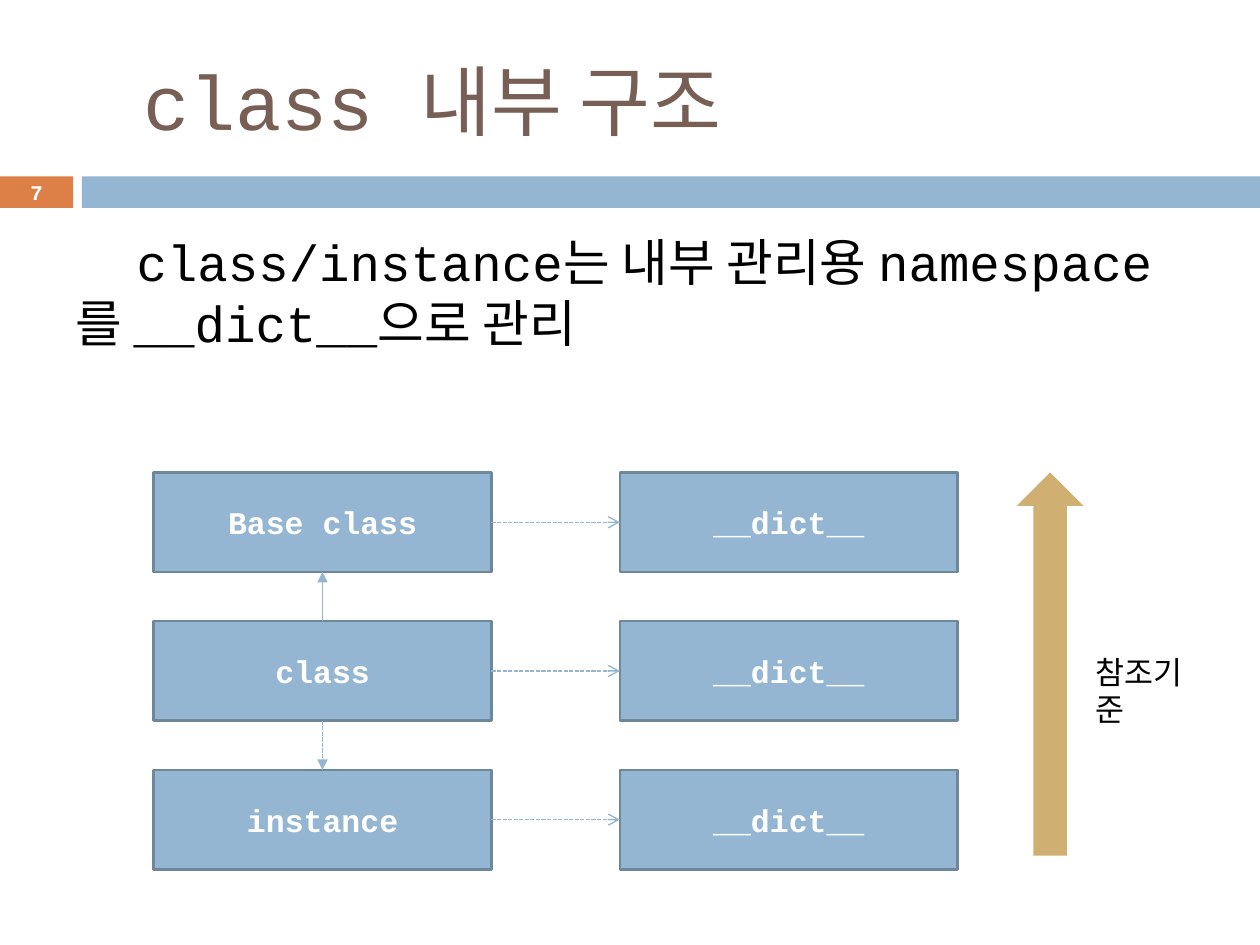
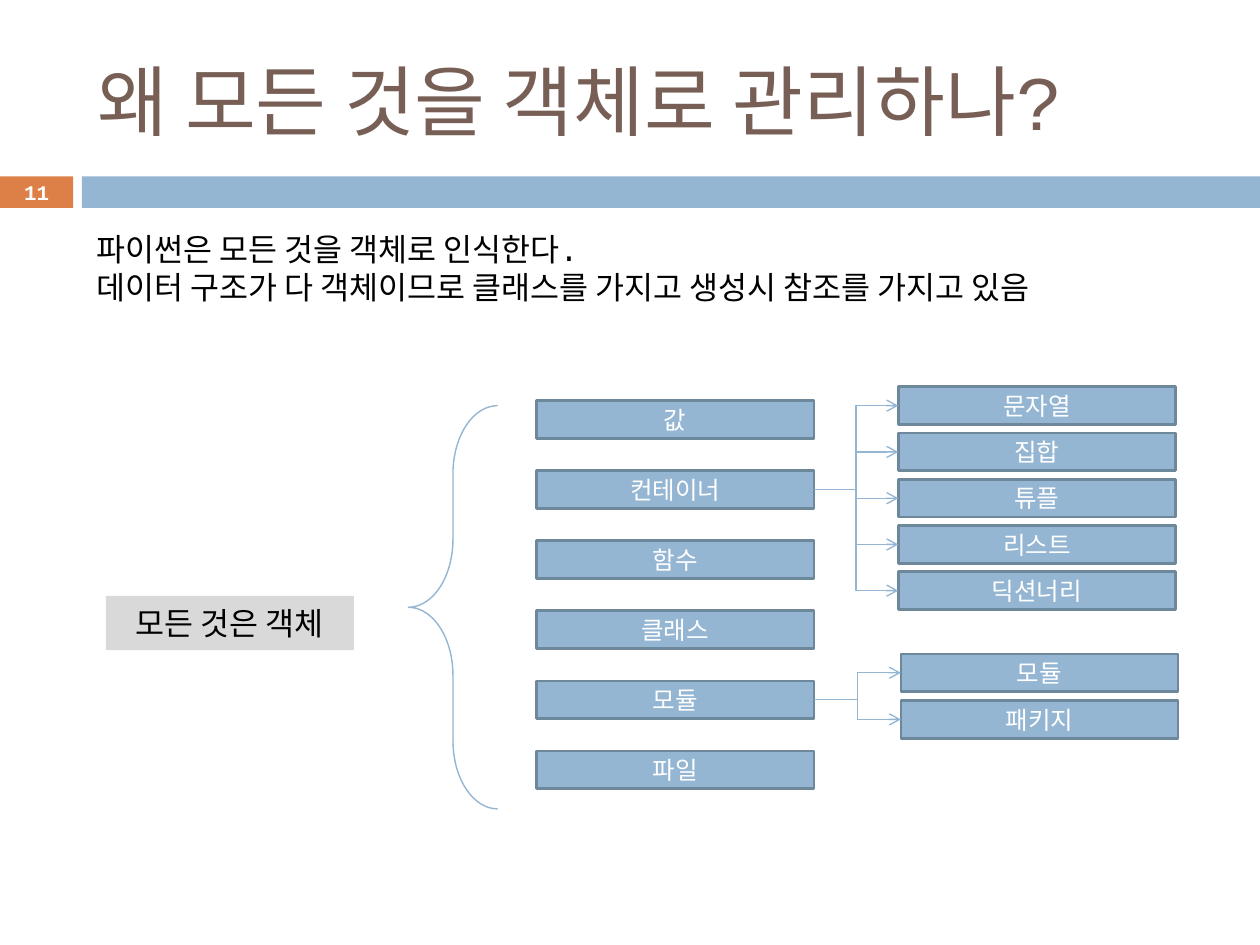
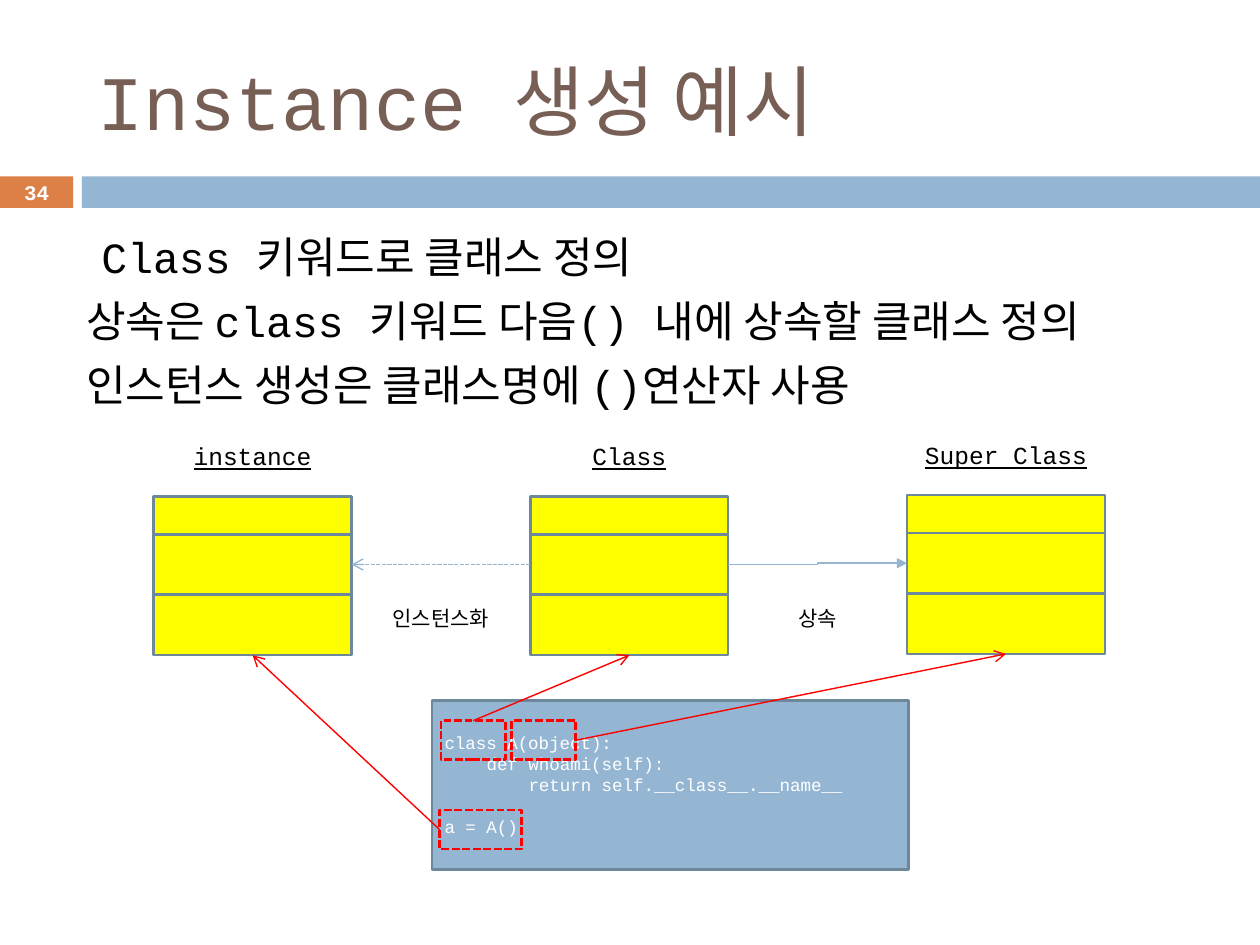
"""Builds three slides on Python classes, objects and instances."""
import itertools

import lxml.etree
import pptx
import pptx.dml.color
import pptx.enum.dml
import pptx.enum.shapes
import pptx.enum.text
import pptx.oxml.ns
import pptx.util

SHAPE = pptx.enum.shapes.MSO_SHAPE
CONNECTOR = pptx.enum.shapes.MSO_CONNECTOR
ALIGN = pptx.enum.text.PP_ALIGN
ANCHOR = pptx.enum.text.MSO_ANCHOR
SHORT_DASH = pptx.enum.dml.MSO_LINE.SQUARE_DOT

FONT = "Courier New"
BLUE, EDGE, ORANGE, BROWN = "94B6D2", "6D879B", "DD8047", "775F55"
SAND, GRAY, YELLOW, RED = "D0AF72", "D9D9D9", "FFFF00", "FF0000"
BLACK, WHITE = "000000", "FFFFFF"

WIDTH, HEIGHT = pptx.util.Inches(10), pptx.util.Inches(7.5)
COLUMNS, ROWS = 100, 75
TITLE_AREA = (6.7, 2.5, 89.2, 10.8)
BODY_AREA = (5, 17.8, 90, 13)
NUMBER_AREA = (0, 13.9, 5.8, 2.7)
TOP, LEFT, BOTTOM, RIGHT = range(4)


def rgb(value):
    """Turn a hex string into a colour."""
    return pptx.dml.color.RGBColor.from_string(value)


def place(left, top, width, height):
    """Turn grid columns and rows into slide lengths."""
    column, row = WIDTH / COLUMNS, HEIGHT / ROWS
    return (round(left * column), round(top * row),
            round(width * column), round(height * row))


def add_tag(parent, name, **attributes):
    """Append a drawing element to a parent element."""
    return lxml.etree.SubElement(parent, pptx.oxml.ns.qn(name), attributes)


def write(shape, lines, size=18, color=BLACK, bold=False, underline=False,
          align=ALIGN.LEFT, anchor=ANCHOR.TOP, before=(), indents=()):
    """Fill a shape with formatted lines; before and indents are points per line."""
    frame = shape.text_frame
    frame.word_wrap = True
    frame.auto_size = pptx.enum.text.MSO_AUTO_SIZE.NONE
    frame.vertical_anchor = anchor
    rows = itertools.zip_longest(lines, before, indents, fillvalue=0)
    for index, (line, gap, indent) in enumerate(rows):
        para = frame.add_paragraph() if index else frame.paragraphs[0]
        para.alignment = align
        para.space_before = pptx.util.Pt(gap)
        settings = para._p.get_or_add_pPr()
        settings.set("marL", "0")
        settings.set("indent", str(pptx.util.Pt(indent)))
        add_tag(settings, "a:buNone")
        span = para.add_run()
        span.text = line
        span.font.name = FONT
        span.font.size = pptx.util.Pt(size)
        span.font.bold = bold
        span.font.underline = underline
        span.font.color.rgb = rgb(color)


def add_label(slide, area, lines, **style):
    """Add a text box."""
    write(slide.shapes.add_textbox(*place(*area)), lines, **style)


def add_block(shapes, area, kind=SHAPE.RECTANGLE, fill=None, edge=None,
              weight=1.5, dash=None):
    """Add a flat preset shape."""
    block = shapes.add_shape(kind, *place(*area))
    block.shadow.inherit = False
    if fill:
        block.fill.solid()
        block.fill.fore_color.rgb = rgb(fill)
    else:
        block.fill.background()
    if edge:
        block.line.color.rgb = rgb(edge)
        block.line.width = pptx.util.Pt(weight)
        block.line.dash_style = dash
    else:
        block.line.fill.background()
    return block


def add_box(slide, area, text, **style):
    """Add a blue box with centred white text."""
    box = add_block(slide.shapes, area, fill=BLUE, edge=EDGE)
    write(box, [text], color=WHITE, align=ALIGN.CENTER,
          anchor=ANCHOR.MIDDLE, **style)
    return box


def add_stack(slide, names, left, top, pitch):
    """Add equally spaced boxes in one column and return them."""
    return [add_box(slide, (left, top + index * pitch, 22, 3), name, size=14)
            for index, name in enumerate(names)]


def link(slide, start, start_side, end, end_side, kind=CONNECTOR.STRAIGHT,
         color=BLUE, head="arrow", dash=None):
    """Join two shapes with an arrow."""
    arrow = slide.shapes.add_connector(kind, 0, 0, 0, 0)
    arrow.begin_connect(start, start_side)
    arrow.end_connect(end, end_side)
    arrow.line.color.rgb = rgb(color)
    arrow.line.width = pptx.util.Pt(0.79)
    arrow.line.dash_style = dash
    properties = arrow._element.spPr
    add_tag(properties.find(pptx.oxml.ns.qn("a:ln")), "a:tailEnd", type=head)
    add_tag(properties, "a:effectLst")


def add_bands(deck, slide):
    """Move the two coloured bands to the slide master, behind all else."""
    tree = deck.slide_master.shapes.element
    for left, width, color in ((0, 5.8, ORANGE), (6.5, 93.5, BLUE)):
        band = add_block(slide.shapes, (left, 14, width, 2.5), fill=color)
        tree.insert(2, band.element)


def fill_placeholder(holder, area, lines, **style):
    """Move a placeholder and write its text."""
    holder.left, holder.top, holder.width, holder.height = place(*area)
    write(holder, lines, **style)


def start_slide(deck, number, title, indent=0, body=None, **body_style):
    """Add a slide with its title, number and optional body text."""
    slide = deck.slides.add_slide(deck.slide_layouts[1 if body else 5])
    fill_placeholder(slide.shapes.title, TITLE_AREA, [title], size=44,
                     color=BROWN, anchor=ANCHOR.MIDDLE, indents=[indent])
    if body:
        fill_placeholder(slide.placeholders[1], BODY_AREA, body,
                         before=[7] * len(body), **body_style)
    add_label(slide, NUMBER_AREA, [number], size=11.9, color=WHITE, bold=True,
              align=ALIGN.CENTER, anchor=ANCHOR.MIDDLE)
    return slide


def build_structure(deck):
    """Show how classes and instances keep their namespaces."""
    slide = start_slide(
        deck, "7", "class 내부 구조", indent=26.4, size=29, indents=[34.8],
        body=["class/instance는 내부 관리용 namespace를 __dict__으로 관리"])
    owners = []
    for index, name in enumerate(("Base class", "class", "instance")):
        top = 37.5 + index * 11.8
        owner, namespace = [
            add_box(slide, (left, top, 26.8, 7.9), text, bold=True)
            for left, text in ((12.2, name), (49.2, "__dict__"))]
        link(slide, owner, RIGHT, namespace, LEFT, dash=SHORT_DASH)
        owners.append(owner)
    base, middle, instance = owners
    link(slide, middle, TOP, base, BOTTOM, head="triangle")
    link(slide, middle, BOTTOM, instance, TOP, head="triangle", dash=SHORT_DASH)
    add_block(slide.shapes, (80.7, 37.5, 5.3, 30.4), SHAPE.UP_ARROW, fill=SAND)
    add_label(slide, (86, 51.3, 9.4, 7.1), ["참조기준"])
    return slide


def build_objects(deck):
    """Show the kinds of things that are objects."""
    slide = start_slide(deck, "11", "왜 모든 것을 객체로 관리하나?")
    add_label(slide, (6.7, 17.8, 87.4, 7.1), [
        "파이썬은 모든 것을 객체로 인식한다.",
        "데이터 구조가 다 객체이므로 클래스를 가지고 생성시 참조를 가지고 있음"])
    root = add_block(slide.shapes, (8.4, 47.3, 19.7, 4.3), fill=GRAY)
    write(root, ["모든 것은 객체"], align=ALIGN.CENTER, anchor=ANCHOR.MIDDLE)
    brace = add_block(slide.shapes, (32.4, 32.2, 7.1, 32), SHAPE.LEFT_BRACE,
                      edge=BLUE, weight=0.79)
    brace.adjustments[0] = 0.76
    kinds = add_stack(slide, ("값", "컨테이너", "함수", "클래스", "모듈", "파일"),
                      42.6, 31.8, 5.56)
    containers = add_stack(slide, ("문자열", "집합", "튜플", "리스트", "딕션너리"),
                           71.3, 30.7, 3.67)
    modules = add_stack(slide, ("모듈", "패키지"), 71.5, 51.9, 3.7)
    for parent, children in ((kinds[1], containers), (kinds[4], modules)):
        for child in children:
            link(slide, parent, RIGHT, child, LEFT, CONNECTOR.ELBOW)


def add_class_diagram(slide, name, left, top):
    """Add a named three-part class diagram and return its parts."""
    add_label(slide, (left, top - 4.9, 15.7, 3.4), [name], size=14,
              underline=True, align=ALIGN.CENTER)
    group = slide.shapes.add_group_shape()
    return [add_block(group.shapes, (left, top + offset, 15.7, height),
                      fill=YELLOW, edge=EDGE)
            for offset, height in ((0, 3), (3, 4.8), (7.8, 4.8))]


def build_instance(deck):
    """Show how code makes a class and an instance."""
    slide = start_slide(
        deck, "34", "Instance 생성 예시", size=24.6, indents=[14.8, 6, 6],
        body=["Class 키워드로 클래스 정의",
              "상속은 class 키워드 다음() 내에 상속할 클래스 정의",
              "인스턴스 생성은 클래스명에 ()연산자 사용"])
    instance, middle, parent = [
        add_class_diagram(slide, name, 12.2 + index * 29.9, top)
        for index, (name, top) in enumerate(
            (("instance", 39.4), ("Class", 39.4), ("Super Class", 39.3)))]
    link(slide, middle[1], RIGHT, parent[1], LEFT, CONNECTOR.ELBOW,
         head="triangle")
    link(slide, middle[1], LEFT, instance[1], RIGHT, dash=SHORT_DASH)
    for left, width, text in ((60.2, 9.4, "상속"), (29.5, 11, "인스턴스화")):
        add_label(slide, (left, 47.6, width, 3), [text], size=12,
                  align=ALIGN.CENTER)
    code = add_block(slide.shapes, (34.3, 55.6, 37.8, 13.4), fill=BLUE, edge=EDGE)
    write(code, ["class A(object):", "def whoami(self):",
                 "return self.__class__.__name__", "a = A()"],
          size=10, color=WHITE, anchor=ANCHOR.MIDDLE,
          before=[0, 0, 0, 12], indents=[0, 24, 48, 0])
    for left, top, width, side, diagram in (
            (35, 57.2, 5.1, TOP, middle), (40.6, 57.2, 5.1, RIGHT, parent),
            (34.9, 64.3, 6.5, LEFT, instance)):
        marker = add_block(slide.shapes, (left, top, width, 3.1), edge=RED,
                           dash=SHORT_DASH)
        link(slide, marker, side, diagram[2], BOTTOM, color=RED)


def main():
    """Build and save the deck."""
    deck = pptx.Presentation()
    deck.slide_width, deck.slide_height = WIDTH, HEIGHT
    add_bands(deck, build_structure(deck))
    build_objects(deck)
    build_instance(deck)
    deck.save("out.pptx")


if __name__ == "__main__":
    main()
